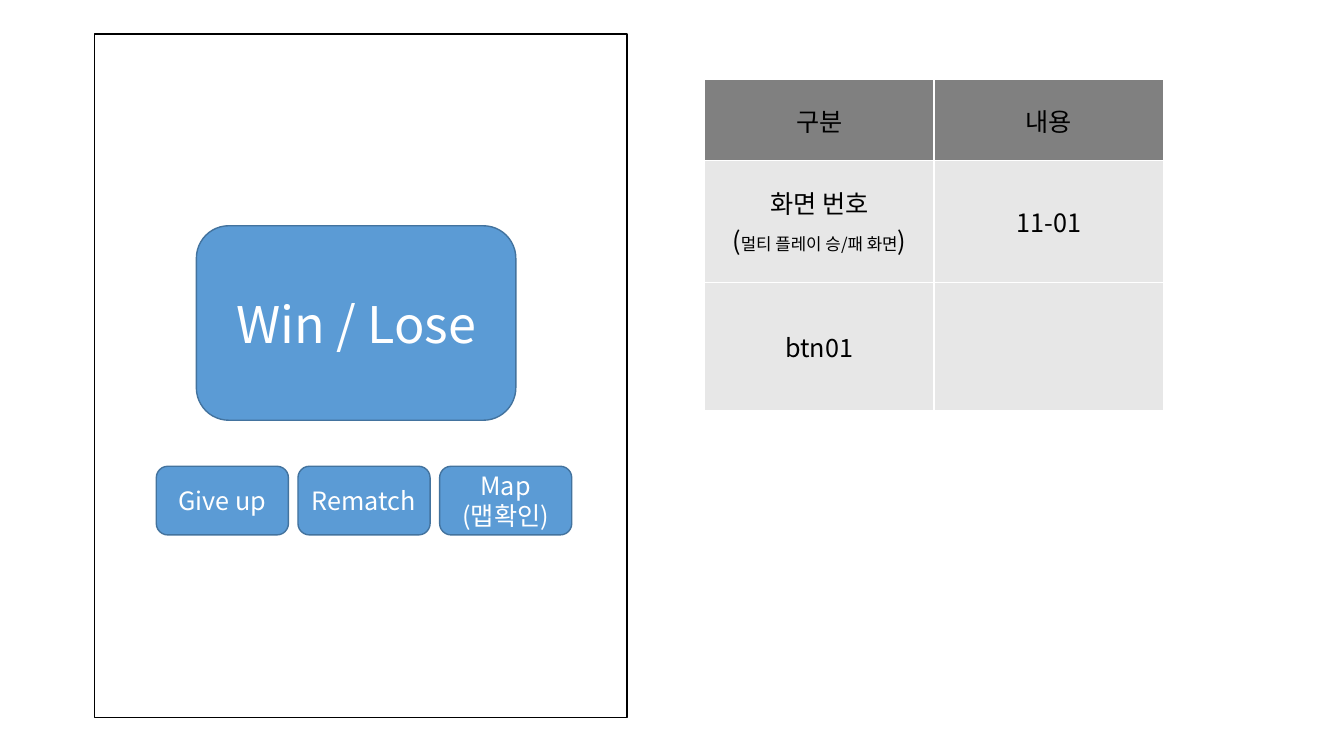
from dataclasses import dataclass

from lxml.etree import SubElement
from pptx import Presentation
from pptx.dml.color import RGBColor
from pptx.enum.shapes import MSO_SHAPE as Preset
from pptx.enum.text import MSO_ANCHOR as Anchor, PP_ALIGN as Align
from pptx.oxml.ns import qn
from pptx.util import Cm, Pt

BUTTONS = ["Give up", "Rematch", "Map\n(맵확인)"]
RESULT = "Win / Lose"
ROWS = [
    [["구분"], ["내용"]],
    [["화면 번호\n(", "멀티 플레이 승/패 화면", ")"], ["11-01"]],
    [["btn01"], []],
]
ROW_HEIGHTS = [2.03, 3.07, 3.23]
COLUMN_WIDTH = 5.79
TABLE_LEFT, TABLE_TOP = 17.75, 2.01
SCREEN_BOX = (2.39, 0.86, 13.41, 17.22)
RESULT_BOX = (4.95, 5.69, 8.05, 4.9)
BUTTON_LEFT, BUTTON_TOP, BUTTON_STEP = 3.94, 11.75, 3.57
BUTTON_WIDTH, BUTTON_HEIGHT = 3.33, 1.73


@dataclass(frozen=True)
class Theme:
    """Colours, font and type sizes of the slide."""

    font: str = "Noto Sans CJK KR"
    white: str = "FFFFFF"
    black: str = "000000"
    button: str = "5B9BD5"
    button_line: str = "43739E"
    header: str = "808080"
    body: str = "E7E7E7"
    small: int = 12
    normal: int = 18
    large: int = 36


THEME = Theme()


def format_run(run, size, color):
    """Set size, colour and both Latin and East Asian fonts."""
    run.font.size = Pt(size)
    run.font.bold = False
    run.font.color.rgb = RGBColor.from_string(color)
    run.font.name = THEME.font
    SubElement(run._r.get_or_add_rPr(), qn("a:ea"), typeface=THEME.font)


def add_box(slide, preset, box, fill, line, text="", size=THEME.normal):
    """Add an outlined box with optional centred text."""
    shape = slide.shapes.add_shape(preset, *map(Cm, box))
    shape.shadow.inherit = False
    shape.fill.solid()
    shape.fill.fore_color.rgb = RGBColor.from_string(fill)
    shape.line.color.rgb = RGBColor.from_string(line)
    shape.line.width = Pt(1)
    if text:
        frame = shape.text_frame
        frame.text = text
        frame.vertical_anchor = Anchor.MIDDLE
        for paragraph in frame.paragraphs:
            paragraph.alignment = Align.CENTER
            for run in paragraph.runs:
                format_run(run, size, THEME.white)


def add_borders(cell):
    """Draw a thin white border on each side of a cell."""
    properties = cell._tc.get_or_add_tcPr()
    for index, side in enumerate(("lnL", "lnR", "lnT", "lnB")):
        line = SubElement(properties, qn(f"a:{side}"), w=str(Pt(1)))
        fill = SubElement(line, qn("a:solidFill"))
        SubElement(fill, qn("a:srgbClr"), val=THEME.white)
        properties.insert(index, line)


def fill_cell(cell, parts, color):
    """Write the parts of a cell, the middle part of three being small."""
    cell.vertical_anchor = Anchor.MIDDLE
    cell.fill.solid()
    cell.fill.fore_color.rgb = RGBColor.from_string(color)
    add_borders(cell)
    paragraph = cell.text_frame.paragraphs[0]
    for index, part in enumerate(parts):
        size = THEME.small if index == 1 else THEME.normal
        for line_number, text in enumerate(part.split("\n")):
            if line_number:
                paragraph = cell.text_frame.add_paragraph()
            run = paragraph.add_run()
            run.text = text
            format_run(run, size, THEME.black)
    for paragraph in cell.text_frame.paragraphs:
        paragraph.alignment = Align.CENTER


def add_description(slide):
    """Add the table that describes the screen."""
    columns = len(ROWS[0])
    table = slide.shapes.add_table(
        len(ROWS), columns, Cm(TABLE_LEFT), Cm(TABLE_TOP),
        Cm(COLUMN_WIDTH * columns), Cm(sum(ROW_HEIGHTS)),
    ).table
    for column in table.columns:
        column.width = Cm(COLUMN_WIDTH)
    for row_index, (row, height) in enumerate(zip(ROWS, ROW_HEIGHTS)):
        table.rows[row_index].height = Cm(height)
        color = THEME.body if row_index else THEME.header
        for column_index, parts in enumerate(row):
            fill_cell(table.cell(row_index, column_index), parts, color)


def main():
    """Build the slide and save it."""
    presentation = Presentation()
    presentation.slide_width, presentation.slide_height = Cm(33.87), Cm(19.05)
    slide = presentation.slides.add_slide(presentation.slide_layouts[6])
    add_box(slide, Preset.RECTANGLE, SCREEN_BOX, THEME.white, THEME.black)
    add_description(slide)
    for index, label in enumerate(BUTTONS):
        box = (BUTTON_LEFT + index * BUTTON_STEP, BUTTON_TOP, BUTTON_WIDTH, BUTTON_HEIGHT)
        add_box(slide, Preset.ROUNDED_RECTANGLE, box, THEME.button, THEME.button_line, label)
    add_box(slide, Preset.ROUNDED_RECTANGLE, RESULT_BOX, THEME.button,
            THEME.button_line, RESULT, THEME.large)
    presentation.save("out.pptx")


if __name__ == "__main__":
    main()
